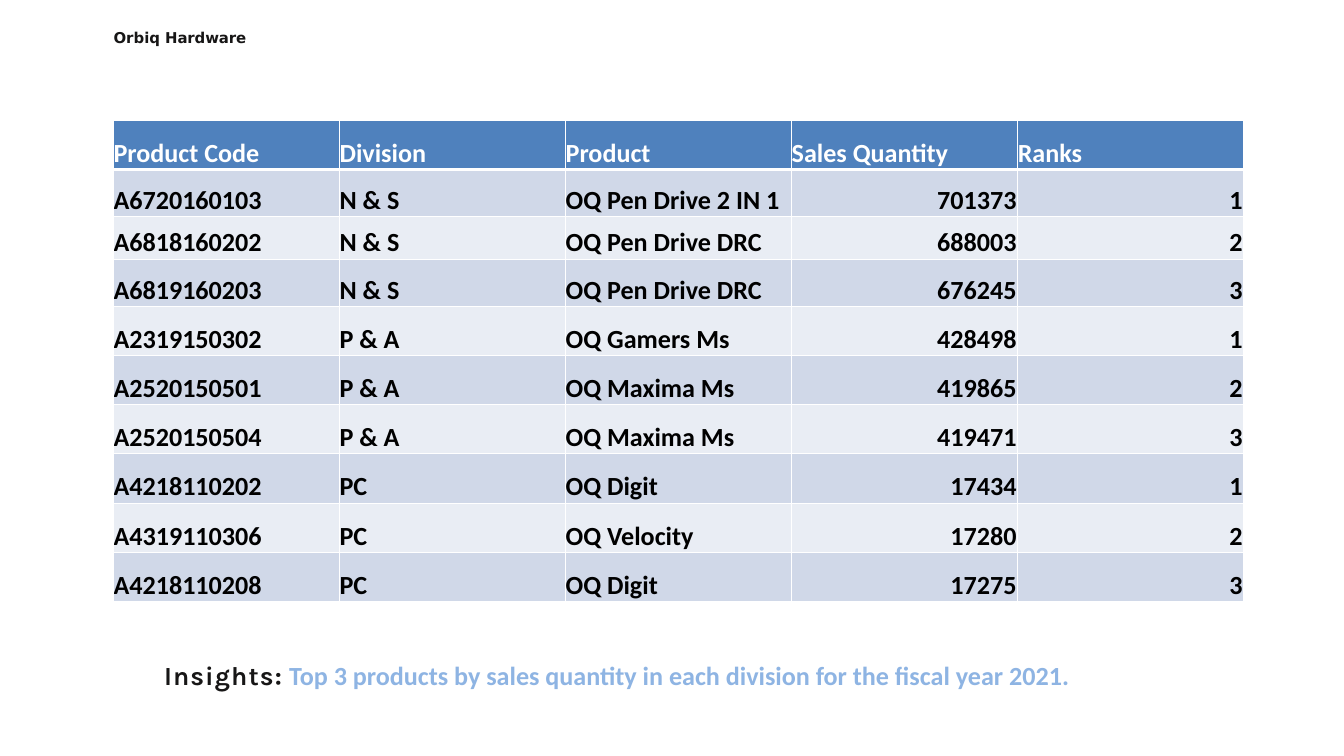
from lxml.etree import SubElement
from pptx import Presentation
from pptx.dml.color import RGBColor
from pptx.enum.text import MSO_ANCHOR, MSO_AUTO_SIZE, PP_ALIGN
from pptx.oxml.ns import qn
from pptx.util import Pt

WHITE = RGBColor(0xFF, 0xFF, 0xFF)
BLACK = RGBColor(0x00, 0x00, 0x00)
INK = RGBColor(0x17, 0x16, 0x16)
HEADER_BLUE = RGBColor(0x4F, 0x81, 0xBD)
INSIGHT_BLUE = RGBColor(0x8E, 0xB4, 0xE3)
BANDS = [RGBColor(0xE9, 0xED, 0xF4), RGBColor(0xD0, 0xD8, 0xE8)]

BRAND_FORMAT = {"name": "DejaVu Sans", "size": Pt(16), "bold": True}
INSIGHT_FORMAT = {"name": "Karla", "size": Pt(28), "bold": True}
CELL_FORMAT = {"name": "Calibri", "size": Pt(28), "bold": True}
BOX_FORMAT = {"word_wrap": True, "auto_size": MSO_AUTO_SIZE.SHAPE_TO_FIT_TEXT,
              "margin_left": Pt(0.7), "margin_top": Pt(0.7),
              "margin_right": 0, "margin_bottom": 0}
CELL_LAYOUT = {"vertical_anchor": MSO_ANCHOR.BOTTOM, "margin_left": Pt(0.7),
               "margin_top": Pt(0.7), "margin_right": Pt(0.7), "margin_bottom": 0}

COLUMN_WIDTH = 242.2
ROW_HEIGHTS = [52.5, 50.5, 45.5, 50.5] + [52.75] * 6
NUMBER_COLUMNS = (3, 4)
ROWS = [
    ("Product Code", "Division", "Product", "Sales Quantity", "Ranks"),
    ("A6720160103", "N & S", "OQ Pen Drive 2 IN 1", "701373", "1"),
    ("A6818160202", "N & S", "OQ Pen Drive DRC", "688003", "2"),
    ("A6819160203", "N & S", "OQ Pen Drive DRC", "676245", "3"),
    ("A2319150302", "P & A", "OQ Gamers Ms", "428498", "1"),
    ("A2520150501", "P & A", "OQ Maxima Ms", "419865", "2"),
    ("A2520150504", "P & A", "OQ Maxima Ms", "419471", "3"),
    ("A4218110202", "PC", "OQ Digit", "17434", "1"),
    ("A4319110306", "PC", "OQ Velocity", "17280", "2"),
    ("A4218110208", "PC", "OQ Digit", "17275", "3"),
]


def apply_format(target, values):
    for name, value in values.items():
        setattr(target, name, value)


def add_run(p, text, values, color, spacing=0):
    r = p.add_run()
    r.text = text
    apply_format(r.font, values)
    r.font.color.rgb = color
    if spacing:
        r.font._element.set("spc", str(round(spacing * 100)))


def add_text(s, left, top, width, height, runs):
    tf = s.shapes.add_textbox(Pt(left), Pt(top), Pt(width), Pt(height)).text_frame
    apply_format(tf, BOX_FORMAT)
    p = tf.paragraphs[0]
    p.space_before = Pt(1)
    for run in runs:
        add_run(p, *run)


def set_borders(cell, widths):
    # Called before the fill, since borders come first in the cell properties
    tc_pr = cell._tc.get_or_add_tcPr()
    for side, width in widths.items():
        line = SubElement(tc_pr, qn(f"a:ln{side}"), w=str(Pt(width)))
        fill = SubElement(line, qn("a:solidFill"))
        SubElement(fill, qn("a:srgbClr"), val=str(WHITE))


def fill_cell(cell, text, row, column):
    header = row == 0
    apply_format(cell, CELL_LAYOUT)
    set_borders(cell, {"L": 1, "R": 1, "T": 3 if row == 1 else 1,
                       "B": 3 if header else 1})
    cell.fill.solid()
    cell.fill.fore_color.rgb = HEADER_BLUE if header else BANDS[row % 2]
    p = cell.text_frame.paragraphs[0]
    if not header and column in NUMBER_COLUMNS:
        p.alignment = PP_ALIGN.RIGHT
    add_run(p, text, CELL_FORMAT, WHITE if header else BLACK)


def add_sales_table(s, left, top):
    columns = len(ROWS[0])
    table = s.shapes.add_table(len(ROWS), columns, Pt(left), Pt(top),
                               Pt(COLUMN_WIDTH * columns), Pt(sum(ROW_HEIGHTS))).table
    for column in table.columns:
        column.width = Pt(COLUMN_WIDTH)
    for i, (height, texts) in enumerate(zip(ROW_HEIGHTS, ROWS)):
        table.rows[i].height = Pt(height)
        for j, text in enumerate(texts):
            fill_cell(table.cell(i, j), text, i, j)


def main():
    prs = Presentation()
    prs.slide_width, prs.slide_height = Pt(1440), Pt(810)
    s = prs.slides.add_slide(prs.slide_layouts[6])

    # Company name
    add_text(s, 121, 30.25, 143, 21, [
        ("Orbiq ", BRAND_FORMAT, INK),
        ("Hardware", BRAND_FORMAT, INK, -0.1),
    ])

    # Top products by division
    add_sales_table(s, 121, 129)

    # Insight line
    add_text(s, 175, 705.6, 1103, 35.3, [
        ("Insights", INSIGHT_FORMAT, INK, 1.2),
        (": ", INSIGHT_FORMAT, INK, 0.3),
        ("Top 3 products by sales quantity in each division for the fiscal year 2021.",
         CELL_FORMAT, INSIGHT_BLUE),
    ])

    prs.save("out.pptx")


if __name__ == "__main__":
    main()
